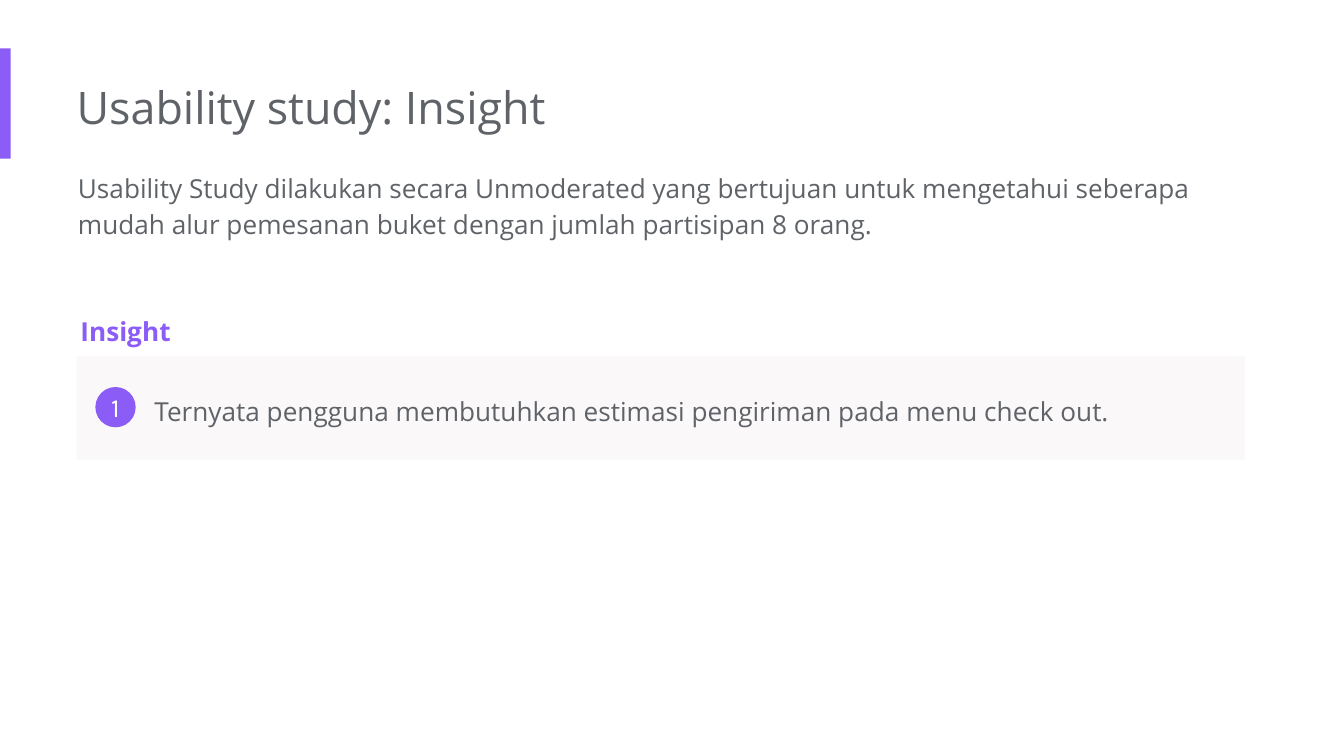
"""Build the usability study insight slide."""
import dataclasses

import pptx
import pptx.dml.color
import pptx.enum.shapes
import pptx.enum.text
import pptx.util

TITLE = "Usability study: Insight"
SUMMARY = (
    "Usability Study dilakukan secara Unmoderated yang bertujuan untuk mengetahui "
    "seberapa mudah alur pemesanan buket dengan jumlah partisipan 8 orang."
)
HEADING = "Insight"
INSIGHTS = ["Ternyata pengguna membutuhkan estimasi pengiriman pada menu check out."]


@dataclasses.dataclass(frozen=True)
class Theme:
    accent: str = "8B5CF6"
    ink: str = "5F6368"
    panel: str = "FAF8F9"
    white: str = "FFFFFF"
    font: str = "Open Sans"
    number_font: str = "Karla"
    title_size: int = 24
    body_size: int = 14
    line_spacing: float = 1.15


THEME = Theme()
WIDTH = 10
HEIGHT = WIDTH * 9 / 16
MARGIN = 0.57
PANEL_TOP, PANEL_WIDTH, PANEL_HEIGHT = 2.65, 8.69, 0.77
BADGE_SIZE = 0.3
SHAPES = pptx.enum.shapes.MSO_SHAPE
ANCHOR = pptx.enum.text.MSO_ANCHOR
ALIGN = pptx.enum.text.PP_ALIGN


def inches(*lengths):
    return [pptx.util.Inches(length) for length in lengths]


def color(value):
    return pptx.dml.color.RGBColor.from_string(value)


def write(shape, text, ink=THEME.ink, size=THEME.body_size, font=THEME.font,
          bold=False, spacing=THEME.line_spacing, insets=(0.1, 0.1, 0.1, 0.1),
          anchor=ANCHOR.TOP, align=ALIGN.LEFT):
    frame = shape.text_frame
    frame.text = text
    frame.word_wrap = True
    frame.auto_size = pptx.enum.text.MSO_AUTO_SIZE.NONE
    frame.vertical_anchor = anchor
    (frame.margin_left, frame.margin_top,
     frame.margin_right, frame.margin_bottom) = inches(*insets)
    paragraph = frame.paragraphs[0]
    paragraph.alignment = align
    paragraph.line_spacing = spacing
    paragraph.space_before = pptx.util.Pt(0)
    run_font = paragraph.runs[0].font
    run_font.name = font
    run_font.size = pptx.util.Pt(size)
    run_font.bold = bold
    run_font.color.rgb = color(ink)


def add_text(slide, box, text, **style):
    write(slide.shapes.add_textbox(*inches(*box)), text, **style)


def add_block(slide, kind, box, fill):
    shape = slide.shapes.add_shape(kind, *inches(*box))
    shape.shadow.inherit = False
    shape.fill.solid()
    shape.fill.fore_color.rgb = color(fill)
    shape.line.fill.background()
    return shape


def add_insight(slide, index, text):
    top = PANEL_TOP + index * PANEL_HEIGHT
    add_block(slide, SHAPES.RECTANGLE, (MARGIN, top, PANEL_WIDTH, PANEL_HEIGHT), THEME.panel)
    add_text(slide, (MARGIN + 0.48, top + 0.16, 7.91, 0.47), text)
    badge_box = (MARGIN + 0.14, top + 0.23, BADGE_SIZE, BADGE_SIZE)
    badge = add_block(slide, SHAPES.OVAL, badge_box, THEME.accent)
    write(badge, str(index + 1), ink=THEME.white, font=THEME.number_font, spacing=1,
          insets=(0, 0, 0, 0), anchor=ANCHOR.MIDDLE, align=ALIGN.CENTER)


def main():
    presentation = pptx.Presentation()
    presentation.slide_width, presentation.slide_height = inches(WIDTH, HEIGHT)
    slide = presentation.slides.add_slide(presentation.slide_layouts.get_by_name("Title Only"))
    flush_left = (0, 0.1, 0.1, 0.1)

    add_block(slide, SHAPES.RECTANGLE, (0, 0.36, 0.08, 0.82), THEME.accent)
    title = slide.shapes.title
    title.left, title.top, title.width, title.height = inches(MARGIN, 0.49, 6.73, 0.61)
    write(title, TITLE, size=THEME.title_size, spacing=1, insets=flush_left)
    add_text(slide, (MARGIN + 0.01, 1.15, 8.61, 0.74), SUMMARY, insets=flush_left)
    add_text(slide, (0.5, PANEL_TOP - 0.44, 3.65, 0.44), HEADING, ink=THEME.accent, bold=True)
    for index, text in enumerate(INSIGHTS):
        add_insight(slide, index, text)

    presentation.save("out.pptx")


if __name__ == "__main__":
    main()
